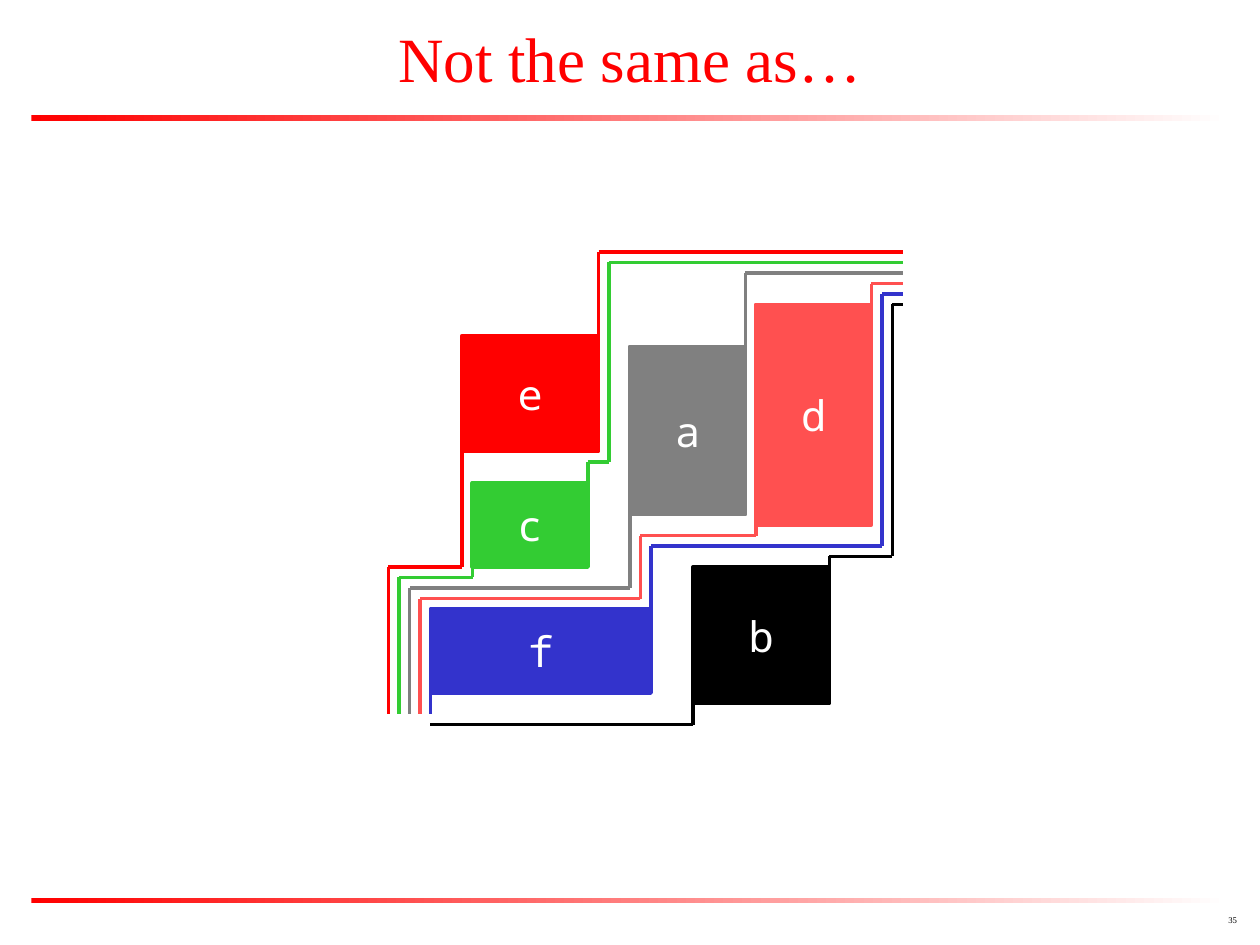
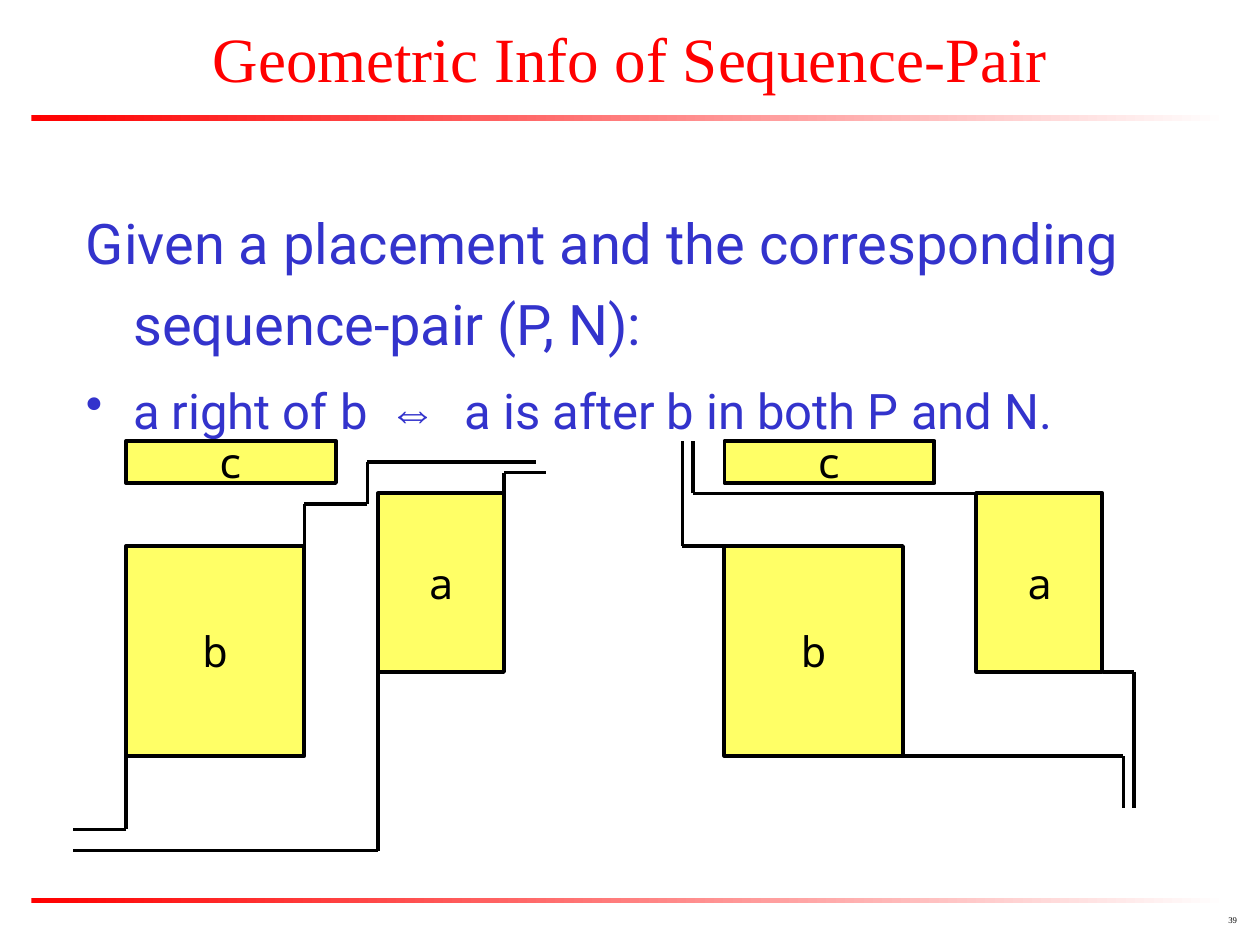
from pptx import Presentation
from pptx.dml.color import RGBColor
from pptx.enum.shapes import MSO_CONNECTOR, MSO_SHAPE
from pptx.enum.text import MSO_ANCHOR, PP_ALIGN
from pptx.oxml.ns import qn
from pptx.util import Emu, Pt
from lxml.etree import SubElement

PX = 9525   # EMU per px, 96 px to the inch
CELL = 8    # px per cell of the diagram grid

RED = RGBColor(0xFF, 0, 0)
GREEN = RGBColor(0x33, 0xCC, 0x33)
BLUE = RGBColor(0x33, 0x33, 0xCC)
GRAY = RGBColor(0x80, 0x80, 0x80)
CORAL = RGBColor(0xFF, 0x50, 0x50)
YELLOW = RGBColor(0xFF, 0xFF, 0x66)
BLACK = RGBColor(0, 0, 0)
WHITE = RGBColor(0xFF, 0xFF, 0xFF)

SERIF, SANS, MONO, SIGN = "Times New Roman", "Roboto", "Noto Sans Mono", "Arial"
STROKE = Pt(2.25)


def px(*nums):
    return [Emu(num * PX) for num in nums]


def style(para, size, name, color, align=None):
    para.alignment = align
    font = para.font
    font.size, font.name = Pt(size), name
    font.color.rgb = color


class Deck:
    def __init__(self):
        self.prs = Presentation()
        self.prs.slide_width, self.prs.slide_height = px(960, 720)
        self.shapes = None

    def page(self, title, number):
        """Start a slide with its rules, page number and title."""
        self.shapes = self.prs.slides.add_slide(self.prs.slide_layouts[6]).shapes
        for top in (88, 684):
            self.rule(top)
        foot = self.text(752, 694, 200, 18).paragraphs[0]
        foot.text = str(number)
        foot.line_spacing = 0.8
        style(foot, 5, SERIF, BLACK, PP_ALIGN.RIGHT)
        head = self.text(0, 8, 960, 72)
        head.vertical_anchor = MSO_ANCHOR.MIDDLE
        head.text = title
        style(head.paragraphs[0], 36, SERIF, RED, PP_ALIGN.CENTER)

    def rect(self, *place):
        shape = self.shapes.add_shape(MSO_SHAPE.RECTANGLE, *px(*place))
        shape.shadow.inherit = False
        return shape

    def rule(self, top):
        """Draw a thin bar that fades from red to white."""
        bar = self.rect(24, top, 912, 4)
        bar.line.fill.background()
        bar.fill.gradient()
        bar.fill.gradient_angle = 0
        for stop, color in zip(bar.fill.gradient_stops, (RED, WHITE)):
            stop.color.rgb = color

    def text(self, *place):
        frame = self.shapes.add_textbox(*px(*place)).text_frame
        frame.word_wrap = True
        return frame

    def block(self, name, cells, fill, edge, ink):
        """Draw a named block; cells are left, top, width, height."""
        shape = self.rect(*(CELL * cell for cell in cells))
        shape.fill.solid()
        shape.fill.fore_color.rgb = fill
        shape.line.color.rgb = edge
        shape.line.width = STROKE
        frame = shape.text_frame
        frame.word_wrap = False
        frame.vertical_anchor = MSO_ANCHOR.MIDDLE
        frame.text = name
        style(frame.paragraphs[0], 24, MONO, ink, PP_ALIGN.CENTER)

    def line(self, start, end, color):
        ends = px(*(CELL * cell for cell in start + end))
        line = self.shapes.add_connector(MSO_CONNECTOR.STRAIGHT, *ends)
        line.line.color.rgb = color
        line.line.width = STROKE
        SubElement(line._element.spPr, qn("a:effectLst"))

    def route(self, start, turns, color=BLACK, flat=False):
        """Run from start to each next x or y in turn, x first if flat."""
        for turn in turns:
            end = (turn, start[1]) if flat else (start[0], turn)
            self.line(start, end, color)
            start, flat = end, not flat

    def item(self, para, size, gap=None, bullet=None):
        """Give a body paragraph its hanging indent, bullet and font."""
        props = para._p.get_or_add_pPr()
        props.set("marL", str(36 * PX))
        props.set("indent", str(-36 * PX))
        if bullet:
            tint = SubElement(props, qn("a:buClr"))
            SubElement(tint, qn("a:srgbClr")).set("val", str(BLUE))
            SubElement(props, qn("a:buChar")).set("char", bullet)
        para.line_spacing = 1.2
        if gap:
            para.space_before = Pt(gap)
        style(para, size, SANS, BLUE)


def paths(deck):
    """Draw each block with its up-right and down-left paths."""
    deck.page("Not the same as…", 35)
    right, floor = 86, 68
    plan = [
        ("e", RED, (44, 32, 13, 11), (24, right), (54, 37, floor)),
        ("c", GREEN, (45, 46, 11, 8), (44, 58, 25, right), (55, 38, floor)),
        ("f", BLUE, (41, 58, 21, 8), (52, 84, 28, right), (floor,)),
        ("a", GRAY, (60, 33, 11, 16), (26, right), (56, 39, floor)),
        ("d", CORAL, (72, 29, 11, 21), (27, right), (51, 61, 57, 40, floor)),
        ("b", BLACK, (66, 54, 13, 13), (53, 85, 29, right), (69, 41)),
    ]
    for name, color, cells, *_ in plan:
        deck.block(name, cells, color, color, WHITE)
    for _, color, (left, top, wide, high), rise, fall in plan:
        deck.route((left + wide, top), rise, color)
        deck.route((left, top + high), fall, color)


def pairs(deck):
    """Draw one placement twice, with the paths of P and of N."""
    deck.page("Geometric Info of Sequence-Pair", 39)
    body = deck.text(56, 144, 824, 472)
    given = body.paragraphs[0]
    given.text = "Given a placement and the corresponding sequence-pair (P, N):"
    deck.item(given, 32)
    claim = body.add_paragraph()
    deck.item(claim, 28, 7, "•")
    claim.add_run().text = "a right of b"
    sign = claim.add_run()
    sign.text = " ⇔ "
    sign.font.name = SIGN
    sign._r.get_or_add_rPr().set("spc", "400")
    claim.add_run().text = "a is after b in both P and N."

    for shift in (0, 57):
        for name, left, *rest in (("b", 12, 52, 17, 20), ("a", 36, 47, 12, 17),
                                  ("c", 12, 42, 20, 4)):
            deck.block(name, (left + shift, *rest), YELLOW, BLACK, BLACK)
    for start, turns in (((29, 52), (48, 35, 44, 51)), ((48, 47), (45, 52)),
                         ((12, 72), (79, 7)), ((36, 64), (81, 7))):
        deck.route(start, turns)
    for start, turns in (((93, 47), (66, 42)), ((69, 52), (65, 42)),
                         ((105, 64), (108, 77)), ((86, 72), (107, 77))):
        deck.route(start, turns, flat=True)


def main():
    deck = Deck()
    paths(deck)
    pairs(deck)
    deck.prs.save("out.pptx")


if __name__ == "__main__":
    main()
